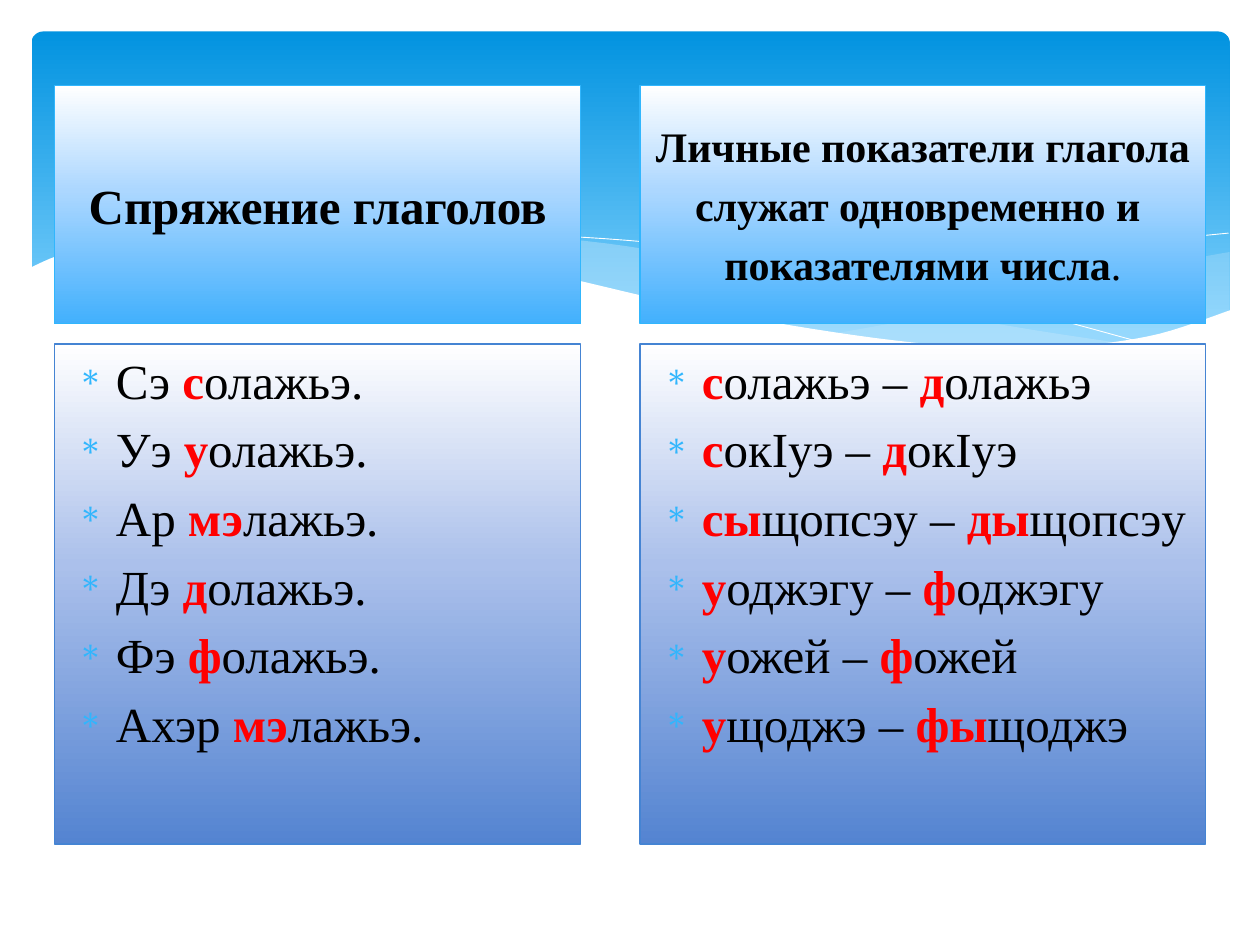
from lxml import etree
from pptx import Presentation
from pptx.dml.color import RGBColor
from pptx.enum.shapes import MSO_SHAPE
from pptx.enum.text import MSO_ANCHOR, PP_ALIGN
from pptx.oxml.ns import qn
from pptx.util import Inches, Pt

RECTANGLE, ROUNDED = MSO_SHAPE.RECTANGLE, MSO_SHAPE.ROUNDED_RECTANGLE
TOP, MIDDLE = MSO_ANCHOR.TOP, MSO_ANCHOR.MIDDLE
LEFT, CENTER = PP_ALIGN.LEFT, PP_ALIGN.CENTER

FONT = "Times New Roman"
BLACK = RGBColor(0x00, 0x00, 0x00)
WHITE = RGBColor(0xFF, 0xFF, 0xFF)
RED = RGBColor(0xFF, 0x00, 0x00)
SKY = RGBColor(0x31, 0xB6, 0xFD)
BLUE = RGBColor(0x45, 0x84, 0xD3)
PALE = RGBColor(0xC6, 0xE7, 0xFC)
BAND_STOPS = [(0, RGBColor(0x02, 0x93, 0xE0)), (90, RGBColor(0x83, 0xD3, 0xFE))]
HEADING_STOPS = [(0, WHITE), (44, RGBColor(0xAC, 0xD7, 0xFF)), (100, RGBColor(0x42, 0xB0, 0xFD))]
LIST_STOPS = [(0, WHITE), (44, RGBColor(0xAB, 0xC0, 0xEB)), (100, RGBColor(0x54, 0x84, 0xD1))]

# Rows shared by both columns, in inches: top and height
HEADING_ROW = (0.68, 1.89)
LIST_ROW = (2.73, 3.97)

# Columns: left, width, heading size, heading, list; asterisks enclose marked letters
COLUMNS = [
    (0.43, 4.18, 28, ["Спряжение глаголов"],
     ["Сэ *с*олажьэ.", "Уэ *у*олажьэ.", "Ар *мэ*лажьэ.",
      "Дэ *д*олажьэ.", "Фэ *ф*олажьэ.", "Ахэр *мэ*лажьэ."]),
    (5.08, 4.49, 24,
     ["Личные показатели глагола ", "служат одновременно и ", "показателями числа*.*"],
     ["*с*олажьэ – *д*олажьэ", "*с*окIуэ – *д*окIуэ", "*сы*щопсэу – *ды*щопсэу",
      "*у*оджэгу – *ф*оджэгу", "*у*ожей – *ф*ожей", "*у*щоджэ – *фы*щоджэ"]),
]


def smooth_curve(knots, steps=6):
    """Return points of a Catmull-Rom curve that passes through every knot."""
    padded = [knots[0], *knots, knots[-1]]
    points = [knots[0]]
    for before, start, end, after in zip(padded, padded[1:], padded[2:], padded[3:]):
        for step in range(1, steps + 1):
            t = step / steps
            points.append(tuple(
                b + t * (c - a) / 2
                + t ** 2 * (2 * a - 5 * b + 4 * c - d) / 2
                + t ** 3 * (3 * b - a - 3 * c + d) / 2
                for a, b, c, d in zip(before, start, end, after)))
    return points


def add_outline(slide, points, closed):
    corners = [(Inches(x), Inches(y)) for x, y in points]
    builder = slide.shapes.build_freeform(*corners[0])
    builder.add_line_segments(corners[1:], close=closed)
    outline = builder.convert_to_shape()
    outline.shadow.inherit = False
    return outline


def add_wave(slide, *edges, fill, opacity=100):
    """Fill the area enclosed by smooth edges, joined in order."""
    points = [point for edge in edges for point in smooth_curve(edge)]
    wave = add_outline(slide, points, closed=True)
    wave.line.fill.background()
    wave.fill.solid()
    wave.fill.fore_color.rgb = fill
    color = wave.fill._xPr.find(qn("a:solidFill"))[0]
    etree.SubElement(color, qn("a:alpha"), val=str(opacity * 1000))


def add_curved_line(slide, knots):
    curve = add_outline(slide, smooth_curve(knots), closed=False)
    curve.fill.background()
    curve.line.color.rgb = WHITE
    curve.line.width = Pt(0.5)


def fill_gradient(shape, stops):
    """Fill from top to bottom with (percent, colour) stops."""
    shape.fill.gradient()
    shape.fill.gradient_angle = 270
    stop_list = shape.fill._xPr.find(qn("a:gradFill")).find(qn("a:gsLst"))
    for old_stop in list(stop_list):
        stop_list.remove(old_stop)
    for percent, color in stops:
        stop = etree.SubElement(stop_list, qn("a:gs"), pos=str(percent * 1000))
        etree.SubElement(stop, qn("a:srgbClr"), val=str(color))


def add_panel(slide, kind, left, top, width, height, stops, border=None):
    panel = slide.shapes.add_shape(kind, Inches(left), Inches(top), Inches(width), Inches(height))
    panel.shadow.inherit = False
    fill_gradient(panel, stops)
    if border is None:
        panel.line.fill.background()
    else:
        panel.line.color.rgb = border
        panel.line.width = Pt(0.75)
    return panel


def add_bullet(paragraph):
    properties = paragraph._p.get_or_add_pPr()
    properties.set("marL", str(Inches(0.3)))
    properties.set("indent", str(-Inches(0.3)))
    bullet_color = etree.SubElement(properties, qn("a:buClr"))
    etree.SubElement(bullet_color, qn("a:srgbClr"), val=str(SKY))
    etree.SubElement(properties, qn("a:buSzPct"), val="70000")
    etree.SubElement(properties, qn("a:buChar"), char="∗")


def write_text(panel, lines, size=28, bold=False, mark_color=RED, align=LEFT,
               anchor=TOP, inset=0.1, bulleted=False):
    """Write one paragraph a line; marked letters switch weight and colour."""
    frame = panel.text_frame
    frame.word_wrap = True
    frame.vertical_anchor = anchor
    frame.margin_left = Inches(inset)
    for index, line in enumerate(lines):
        paragraph = frame.add_paragraph() if index else frame.paragraphs[0]
        paragraph.alignment = align
        if index:
            paragraph.space_before = Pt(size * 0.2)
        if bulleted:
            add_bullet(paragraph)
        for part, letters in enumerate(line.split("*")):
            if not letters:
                continue
            marked = part % 2 == 1
            run = paragraph.add_run()
            run.text = letters
            run.font.name = FONT
            run.font.size = Pt(size)
            run.font.bold = bold != marked
            run.font.color.rgb = mark_color if marked else BLACK


def draw_background(slide):
    band = add_panel(slide, ROUNDED, 0.25, 0.25, 9.51, 2.7, BAND_STOPS)
    band.adjustments[0] = 0.034

    # Translucent waves: upper edge to the left, lower edge back to the right
    right_upper = [(9.76, 2), (9.21, 2.1), (8.61, 2.23), (7.53, 2.48), (6.61, 2.65)]
    right_lower = [(6.61, 2.65), (7.45, 2.75), (8.14, 2.78), (8.89, 2.72), (9.35, 2.62), (9.76, 2.47)]
    add_wave(slide, right_upper, right_lower, fill=PALE, opacity=29)
    long_upper = [(8.93, 2.73), (7.75, 2.54), (6.29, 2.22), (5.14, 1.98),
                  (4.2, 1.87), (3.61, 1.85), (2.86, 1.91)]
    long_lower = [(2.86, 1.91), (3.83, 2.07), (4.91, 2.32), (6.01, 2.55),
                  (6.95, 2.7), (7.73, 2.77), (8.28, 2.78), (8.93, 2.73)]
    add_wave(slide, long_upper, long_lower, fill=PALE, opacity=40)

    # Thin white lines that cross on the right
    falling = [(3.09, 1.95), (3.63, 1.89), (4.33, 1.87), (5.33, 1.94),
               (6.36, 2.08), (7.6, 2.33), (9.07, 2.72)]
    rising = [(6.13, 2.57), (7.2, 2.29), (8.36, 2.04), (9.1, 1.92), (9.75, 1.85)]
    for knots in (falling, rising):
        add_curved_line(slide, knots)

    # White wave that cuts off the foot of the band
    crest = [(9.77, 2.46), (9.2, 2.65), (8.63, 2.74), (8.09, 2.77), (7.26, 2.72),
             (6.26, 2.58), (5.29, 2.39), (4.47, 2.2), (3.4, 1.97), (2.5, 1.86),
             (1.77, 1.84), (1.06, 1.89), (0.52, 2.01), (0.23, 2.13)]
    foot = [(0.23, 3.29), (9.77, 3.29)]
    add_wave(slide, crest, foot, fill=WHITE)


def draw_column(slide, left, width, heading_size, heading, examples):
    top, height = HEADING_ROW
    heading_box = add_panel(slide, RECTANGLE, left, top, width, height, HEADING_STOPS, SKY)
    write_text(heading_box, heading, size=heading_size, bold=True, mark_color=BLACK,
               align=CENTER, anchor=MIDDLE)
    top, height = LIST_ROW
    list_box = add_panel(slide, RECTANGLE, left, top, width, height, LIST_STOPS, BLUE)
    write_text(list_box, examples, inset=0.19, bulleted=True)


def main():
    deck = Presentation()
    deck.slide_width, deck.slide_height = Inches(10), Inches(7.5)
    slide = deck.slides.add_slide(deck.slide_layouts[6])
    draw_background(slide)
    for column in COLUMNS:
        draw_column(slide, *column)
    deck.save("out.pptx")


if __name__ == "__main__":
    main()
